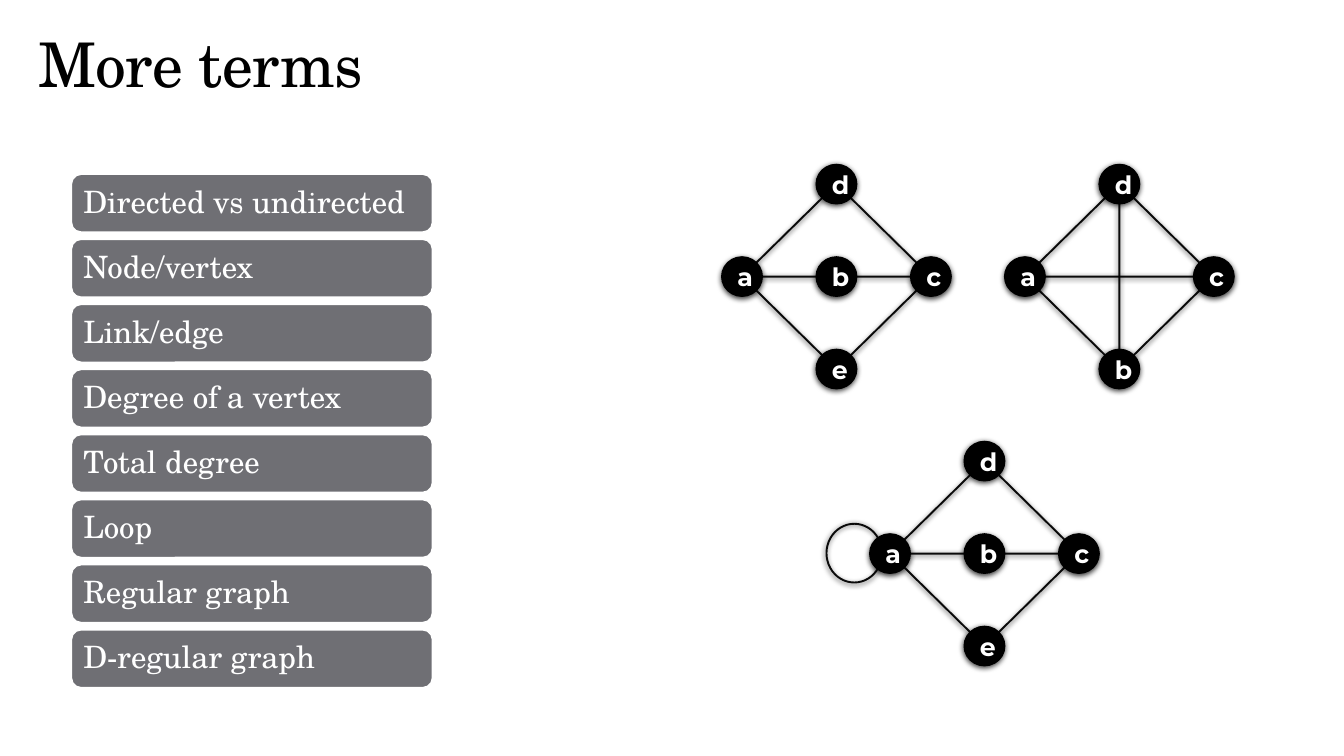
"""Build the "More terms" slide: a list of graph terms beside three example graphs."""
from dataclasses import dataclass
from math import copysign, hypot

from lxml import etree
from pptx import Presentation
from pptx.dml.color import RGBColor
from pptx.enum.shapes import MSO_CONNECTOR, MSO_SHAPE
from pptx.enum.text import MSO_ANCHOR, PP_ALIGN
from pptx.oxml.ns import qn
from pptx.util import Cm, Pt

LEFT, CENTER = PP_ALIGN.LEFT, PP_ALIGN.CENTER
MIDDLE, BOTTOM = MSO_ANCHOR.MIDDLE, MSO_ANCHOR.BOTTOM
ROUNDED, OVAL, ARC = MSO_SHAPE.ROUNDED_RECTANGLE, MSO_SHAPE.OVAL, MSO_SHAPE.ARC
STRAIGHT = MSO_CONNECTOR.STRAIGHT

BLACK = RGBColor(0x00, 0x00, 0x00)
WHITE = RGBColor(0xFF, 0xFF, 0xFF)
GRAY = RGBColor(0x6F, 0x6F, 0x74)
SERIF, SANS = "TeX Gyre Schola", "Montserrat"

TERMS = (
    "Directed vs undirected",
    "Node/vertex",
    "Link/edge",
    "Degree of a vertex",
    "Total degree",
    "Loop",
    "Regular graph",
    "D-regular graph",
)
TERM_LEFT, TERM_TOP, TERM_W, TERM_H, TERM_PITCH = 1.8, 4.39, 9.1, 1.46, 1.64
NODE_W, NODE_H = 1.03, 1.0
STEP_X, STEP_Y = 2.38, 2.33
DIAMOND = {"a": (-1, 0), "d": (0, -1), "c": (1, 0)}
FIVE_NODES = DIAMOND | {"b": (0, 0), "e": (0, 1)}
FOUR_NODES = DIAMOND | {"b": (0, 1)}
FIVE_EDGES = ("ad", "cd", "ab", "bc", "ec", "ae")
FOUR_EDGES = ("ad", "cd", "bc", "ab", "ac", "db")


@dataclass(frozen=True)
class Graph:
    x: float
    y: float
    nodes: dict[str, tuple[int, int]]
    edges: tuple[str, ...]


GRAPHS = (
    Graph(21.08, 6.97, FIVE_NODES, FIVE_EDGES),
    Graph(28.21, 6.97, FOUR_NODES, FOUR_EDGES),
    Graph(24.81, 13.95, FIVE_NODES, FIVE_EDGES),
)


def write(sp, text: str, *, font: str, size: float, color: RGBColor,
          bold: bool = False, align=LEFT, anchor=MIDDLE,
          line_spacing: float = 1.0, tracking: int = 0) -> None:
    tf = sp.text_frame
    tf.word_wrap = True
    tf.vertical_anchor = anchor
    p = tf.paragraphs[0]
    p.alignment = align
    p.line_spacing = line_spacing
    r = p.add_run()
    r.text = text
    r.font.name = font
    r.font.size = Pt(size)
    r.font.bold = bold
    r.font.color.rgb = color
    if tracking:
        r._r.get_or_add_rPr().set("spc", str(tracking))


def add_shadow(sp) -> None:
    effects = etree.SubElement(sp._element.spPr, qn("a:effectLst"))
    shadow = etree.SubElement(effects, qn("a:outerShdw"), blurRad=str(Pt(4)),
                              dist=str(Pt(1.2)), dir="5400000", rotWithShape="0")
    color = etree.SubElement(shadow, qn("a:srgbClr"), val=str(BLACK))
    etree.SubElement(color, qn("a:alpha"), val="75000")


def style_edge(sp) -> None:
    sp.line.width = Pt(1.35)
    sp.line.color.rgb = BLACK
    color = sp.line._ln.find(".//" + qn("a:srgbClr"))
    etree.SubElement(color, qn("a:alpha"), val="95000")
    add_shadow(sp)


def draw_term(s, index: int, text: str) -> None:
    sp = s.shapes.add_shape(ROUNDED, Cm(TERM_LEFT), Cm(TERM_TOP + index * TERM_PITCH),
                            Cm(TERM_W), Cm(TERM_H))
    sp.shadow.inherit = False
    sp.fill.solid()
    sp.fill.fore_color.rgb = GRAY
    sp.line.color.rgb = WHITE
    sp.line.width = Pt(1.1)
    tf = sp.text_frame
    tf.margin_left = tf.margin_right = Cm(0.23)
    write(sp, text, font=SERIF, size=22, color=WHITE, line_spacing=0.9)


def draw_node(s, x: float, y: float, label: str) -> None:
    sp = s.shapes.add_shape(OVAL, Cm(x - NODE_W / 2), Cm(y - NODE_H / 2),
                            Cm(NODE_W), Cm(NODE_H))
    sp.fill.solid()
    sp.fill.fore_color.rgb = BLACK
    sp.line.color.rgb = BLACK
    sp.line.width = Pt(0.75)
    add_shadow(sp)
    write(sp, label, font=SANS, size=18, color=WHITE, bold=True, align=CENTER)


def draw_edge(s, x1: float, y1: float, x2: float, y2: float) -> None:
    ux = copysign(1, x2 - x1) if x1 != x2 else 0
    uy = copysign(1, y2 - y1) if y1 != y2 else 0
    dx = ux / hypot(ux, uy) * NODE_W / 2
    dy = uy / hypot(ux, uy) * NODE_H / 2
    style_edge(s.shapes.add_connector(STRAIGHT, Cm(x1 + dx), Cm(y1 + dy),
                                      Cm(x2 - dx), Cm(y2 - dy)))


def draw_graph(s, graph: Graph) -> None:
    centers = {label: (graph.x + col * STEP_X, graph.y + row * STEP_Y)
               for label, (col, row) in graph.nodes.items()}
    for label, center in centers.items():
        draw_node(s, *center, label)
    for start, end in graph.edges:
        draw_edge(s, *centers[start], *centers[end])


def draw_loop(s) -> None:
    sp = s.shapes.add_shape(ARC, Cm(20.83), Cm(13.2), Cm(1.4), Cm(1.48))
    sp.adjustments[0], sp.adjustments[1] = 14.58, 200.71
    sp.fill.background()
    style_edge(sp)


def main() -> None:
    prs = Presentation()
    prs.slide_width, prs.slide_height = Cm(33.87), Cm(19.05)
    s = prs.slides.add_slide(prs.slide_layouts[6])
    title = s.shapes.add_textbox(Cm(0.71), Cm(0.64), Cm(32.39), Cm(2.03))
    write(title, "More terms", font=SERIF, size=44, color=BLACK,
          anchor=BOTTOM, line_spacing=0.9, tracking=-50)
    for index, term in enumerate(TERMS):
        draw_term(s, index, term)
    for graph in GRAPHS:
        draw_graph(s, graph)
    draw_loop(s)
    prs.save("out.pptx")


if __name__ == "__main__":
    main()
